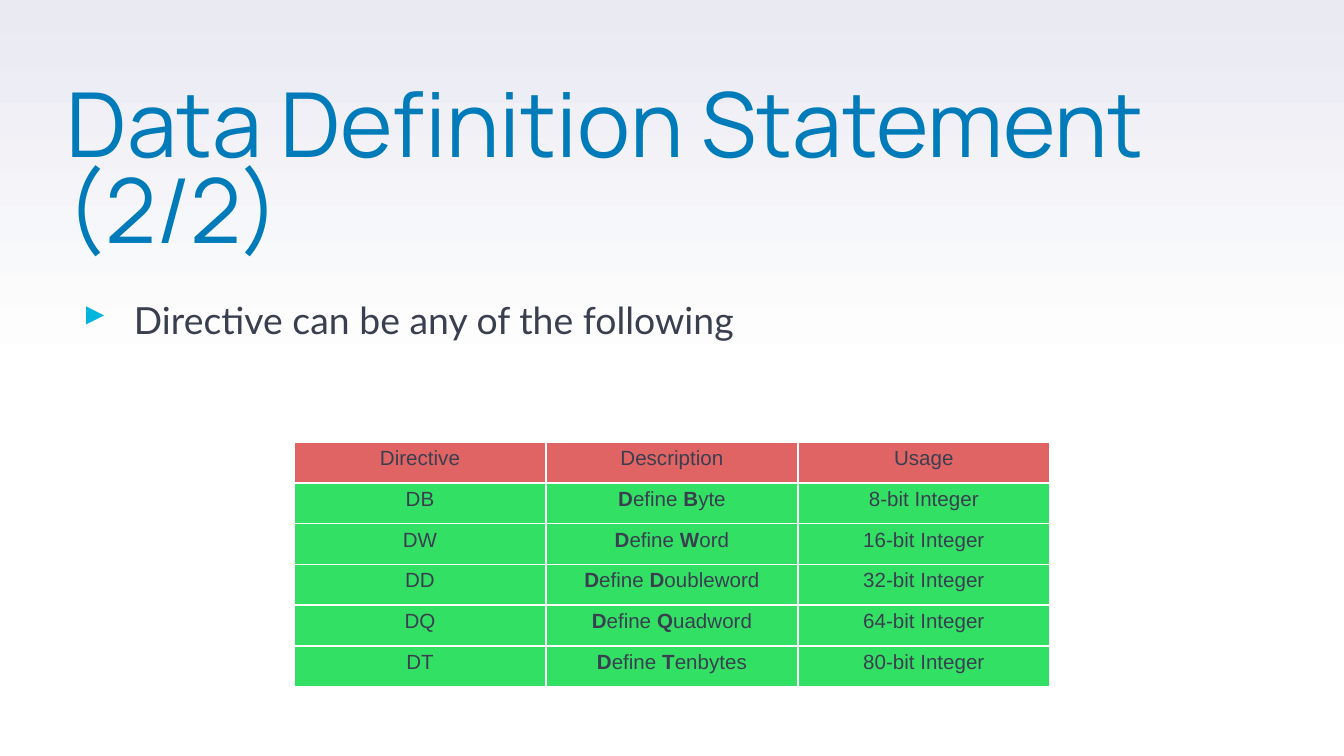
import pptx
import pptx.util
import pptx.dml.color
import pptx.enum.dml
import pptx.enum.text
from lxml import etree
from pptx.oxml.ns import qn

PX = 914400 / 134.4
RGB = pptx.dml.color.RGBColor
WHITE = RGB(0xFF, 0xFF, 0xFF)
MIST = RGB(0xE9, 0xEA, 0xF2)
BLUE = RGB(0x00, 0x7B, 0xB9)
CYAN = RGB(0x00, 0xB5, 0xDD)
INK = RGB(0x3A, 0x3F, 0x50)
RED = RGB(0xE1, 0x64, 0x64)
GREEN = RGB(0x32, 0xE1, 0x64)

HEAD = ("Directive", "Description", "Usage")
ROWS = (
    ("DB", "Define Byte", "8-bit Integer"),
    ("DW", "Define Word", "16-bit Integer"),
    ("DD", "Define Doubleword", "32-bit Integer"),
    ("DQ", "Define Quadword", "64-bit Integer"),
    ("DT", "Define Tenbytes", "80-bit Integer"),
)


def px(num):
    return pptx.util.Emu(round(num * PX))


def style(para, size, face, color):
    for run in para.runs:
        run.font.size = pptx.util.Pt(size)
        run.font.name = face
        run.font.color.rgb = color


def paint_back(slide):
    """Fade from white at mid-height to a pale tint at the top."""
    fill = slide.background.fill
    fill.gradient()
    fill.gradient_angle = 90
    for stop, place, color in zip(fill.gradient_stops, (0.5, 1), (WHITE, MIST)):
        stop.position = place
        stop.color.rgb = color


def set_text(shape, text, box):
    """Place the shape, clear its insets and return its one paragraph."""
    shape.left, shape.top, shape.width, shape.height = map(px, box)
    frame = shape.text_frame
    frame.text = text
    frame.word_wrap = True
    frame.auto_size = pptx.enum.text.MSO_AUTO_SIZE.NONE
    frame.vertical_anchor = pptx.enum.text.MSO_ANCHOR.TOP
    frame.margin_left = frame.margin_top = 0
    frame.margin_right = frame.margin_bottom = 0
    para = frame.paragraphs[0]
    para.alignment = pptx.enum.text.PP_ALIGN.LEFT
    return para


def add_title(slide, text):
    para = set_text(slide.shapes.title, text, (67, 89, 1204, 159))
    para.line_spacing = 0.8
    style(para, 48, "Manrope", BLUE)


def add_bullet(slide, text):
    box = slide.shapes.add_textbox(0, 0, 0, 0)
    para = set_text(box, text, (67, 293, 1204, 394))
    para.line_spacing = 1.1
    para.space_before = pptx.util.Pt(6)
    style(para, 20, "Lato", INK)
    props = para._p.get_or_add_pPr()
    props.set("marL", str(px(67)))
    props.set("indent", str(px(-51)))
    tint = etree.SubElement(props, qn("a:buClr"))
    etree.SubElement(tint, qn("a:srgbClr"), val=str(CYAN))
    etree.SubElement(props, qn("a:buChar"), char="▸")


def add_edges(cell):
    """Draw thin white borders; they must precede the cell's fill."""
    props = cell._tc.get_or_add_tcPr()
    for spot, side in enumerate(("lnL", "lnR", "lnT", "lnB")):
        line = etree.Element(qn(f"a:{side}"), w=str(pptx.util.Pt(1)))
        fill = etree.SubElement(line, qn("a:solidFill"))
        etree.SubElement(fill, qn("a:srgbClr"), val=str(WHITE))
        props.insert(spot, line)


def fill_cell(cell, text, color, bold):
    """Write a cell, with the first letter of each word bold if asked."""
    cell.margin_left = cell.margin_right = px(9)
    cell.margin_top = cell.margin_bottom = px(5)
    cell.fill.solid()
    cell.fill.fore_color.rgb = color
    add_edges(cell)
    para = cell.text_frame.paragraphs[0]
    para.alignment = pptx.enum.text.PP_ALIGN.CENTER
    if bold:
        first, last = text.split()
        for part in (first[0], first[1:] + " ", last[0], last[1:]):
            run = para.add_run()
            run.text = part
            run.font.bold = len(part) == 1
    else:
        para.text = text
        para.runs[0].font.bold = False
    style(para, 11, "Arial", INK)


def add_grid(slide):
    rows = (HEAD, *ROWS)
    frame = slide.shapes.add_table(
        len(rows), len(HEAD), px(294), px(442), px(756), px(245))
    table = frame.table
    for r, row in enumerate(rows):
        for c, text in enumerate(row):
            color = GREEN if r else RED
            fill_cell(table.cell(r, c), text, color, r > 0 and c == 1)


def main():
    deck = pptx.Presentation()
    deck.slide_width, deck.slide_height = px(1344), px(756)
    slide = deck.slides.add_slide(deck.slide_layouts[5])
    paint_back(slide)
    add_title(slide, "Data Definition Statement (2/2)")
    add_bullet(slide, "Directive can be any of the following")
    add_grid(slide)
    deck.save("out.pptx")


if __name__ == "__main__":
    main()
